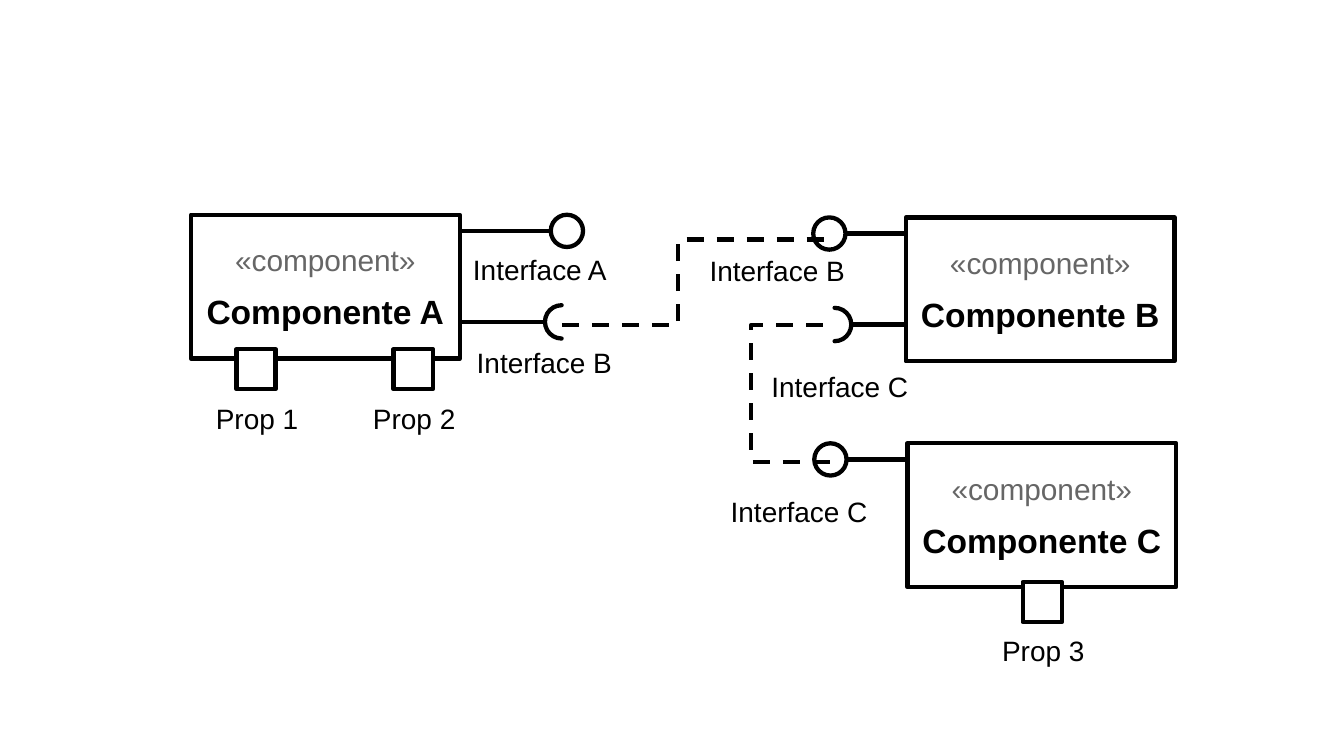
"""Build a UML component diagram with ports, interfaces and dependencies."""
from dataclasses import dataclass

from pptx import Presentation
from pptx import util as u
from pptx.dml.color import RGBColor
from pptx.enum import dml, shapes, text
from pptx.oxml import parse_xml
from pptx.oxml.ns import nsdecls, qn


@dataclass(frozen=True)
class Theme:
    font: str = "Arial"
    ink: RGBColor = RGBColor(0, 0, 0)
    paper: RGBColor = RGBColor(0xFF, 0xFF, 0xFF)
    muted: RGBColor = RGBColor(0x66, 0x66, 0x66)
    stereotype: float = 16
    name: float = 18
    label: float = 15
    stroke: float = 2.3


@dataclass(frozen=True)
class Component:
    name: str
    left: float
    top: float


@dataclass(frozen=True)
class Port:
    name: str
    left: float
    top: float


@dataclass(frozen=True)
class Interface:
    name: str
    provided: bool
    edge: float
    left: float
    top: float
    label_left: float
    label_top: float


THEME = Theme()
COMPONENT_WIDTH, COMPONENT_HEIGHT = 5.08, 2.72
PORT_WIDTH, PORT_HEIGHT = 0.74, 0.76
BALL, SOCKET = 0.61, 0.63

COMPONENTS = [
    Component("Componente A", 3.61, 4.06),
    Component("Componente B", 17.12, 4.11),
    Component("Componente C", 17.15, 8.38),
]
PORTS = [
    Port("Prop 1", 4.47, 6.6),
    Port("Prop 2", 7.44, 6.6),
    Port("Prop 3", 19.33, 11),
]
INTERFACES = [
    Interface("Interface A", True, 8.69, 10.41, 4.06, 8.69, 4.65),
    Interface("Interface B", False, 8.69, 10.3, 5.77, 8.76, 6.4),
    Interface("Interface B", True, 17.12, 15.37, 4.11, 13.16, 4.67),
    Interface("Interface C", False, 17.12, 15.46, 5.82, 14.33, 6.86),
    Interface("Interface C", True, 17.15, 15.39, 8.38, 13.56, 9.22),
]
DEPENDENCIES = [
    [(10.62, 6.14), (12.82, 6.14), (12.82, 4.53), (15.69, 4.53)],
    [(15.55, 6.14), (14.2, 6.14), (14.2, 8.73), (15.77, 8.73)],
]


def set_stroke(line) -> None:
    """Apply the common outline."""
    line.color.rgb = THEME.ink
    line.width = u.Pt(THEME.stroke)


def style_text(paragraph, content: str, size: float, color: RGBColor, bold: bool = False) -> None:
    """Write and format one paragraph."""
    paragraph.text = content
    paragraph.font.name = THEME.font
    paragraph.font.size = u.Pt(size)
    paragraph.font.bold = bold
    paragraph.font.color.rgb = color


def add_outline(slide, kind, left: float, top: float, width: float, height: float):
    """Add a paper-coloured preset shape with the common outline."""
    shape = slide.shapes.add_shape(kind, u.Cm(left), u.Cm(top), u.Cm(width), u.Cm(height))
    shape.shadow.inherit = False
    shape.fill.solid()
    shape.fill.fore_color.rgb = THEME.paper
    set_stroke(shape.line)
    return shape


def add_label(slide, content: str, left: float, top: float, width: float) -> None:
    """Add a one-line label."""
    box = slide.shapes.add_textbox(u.Cm(left), u.Cm(top), u.Cm(width), u.Cm(0.9))
    box.text_frame.word_wrap = True
    style_text(box.text_frame.paragraphs[0], content, THEME.label, THEME.ink)


def add_component(slide, component: Component) -> None:
    """Add a component box with its stereotype and name."""
    shape = add_outline(slide, shapes.MSO_SHAPE.RECTANGLE, component.left, component.top,
                        COMPONENT_WIDTH, COMPONENT_HEIGHT)
    frame = shape.text_frame
    frame.word_wrap = True
    frame.vertical_anchor = text.MSO_ANCHOR.MIDDLE
    frame.margin_left = frame.margin_right = u.Cm(0.28)
    frame.margin_top = frame.margin_bottom = u.Cm(0.15)
    stereotype, name = frame.paragraphs[0], frame.add_paragraph()
    style_text(stereotype, "«component»", THEME.stereotype, THEME.muted)
    style_text(name, component.name, THEME.name, THEME.ink, bold=True)
    name.space_before = u.Pt(7)
    stereotype.alignment = name.alignment = text.PP_ALIGN.CENTER


def add_port(slide, port: Port) -> None:
    """Add a port square with its label below."""
    add_outline(slide, shapes.MSO_SHAPE.RECTANGLE, port.left, port.top, PORT_WIDTH, PORT_HEIGHT)
    add_label(slide, port.name, port.left - 0.64, port.top + 0.86, 2.13)


def add_interface(slide, interface: Interface) -> None:
    """Add a ball or socket, its stem and its label."""
    faces_right = interface.edge < interface.left
    size = BALL if interface.provided else SOCKET
    kind = shapes.MSO_SHAPE.OVAL if interface.provided else shapes.MSO_SHAPE.ARC
    symbol = add_outline(slide, kind, interface.left, interface.top, size, size)
    if not interface.provided:
        symbol.fill.background()
        angles = (54, 162) if faces_right else (162, 54)
        symbol.adjustments[0], symbol.adjustments[1] = angles
        symbol._element.spPr.find(qn("a:ln")).set("cap", "rnd")
    end = interface.left if faces_right else interface.left + size
    middle = u.Cm(interface.top + size / 2)
    stem = slide.shapes.add_connector(shapes.MSO_CONNECTOR.STRAIGHT, u.Cm(interface.edge), middle,
                                      u.Cm(end), middle)
    set_stroke(stem.line)
    stem._element.spPr.append(parse_xml(f"<a:effectLst {nsdecls('a')}/>"))
    add_label(slide, interface.name, interface.label_left, interface.label_top, 3.8)


def add_dependency(slide, points: list[tuple[float, float]]) -> None:
    """Add a dashed open path."""
    start, *rest = [(u.Cm(x), u.Cm(y)) for x, y in points]
    builder = slide.shapes.build_freeform(*start)
    builder.add_line_segments(rest, close=False)
    shape = builder.convert_to_shape()
    shape.shadow.inherit = False
    shape.fill.background()
    set_stroke(shape.line)
    shape.line.dash_style = dml.MSO_LINE.DASH


def main() -> None:
    """Draw the diagram and save it."""
    presentation = Presentation()
    presentation.slide_width, presentation.slide_height = u.Cm(25.4), u.Cm(14.29)
    slide = presentation.slides.add_slide(presentation.slide_layouts[6])
    for component in COMPONENTS:
        add_component(slide, component)
    for interface in INTERFACES:
        add_interface(slide, interface)
    for points in DEPENDENCIES:
        add_dependency(slide, points)
    for port in PORTS:
        add_port(slide, port)
    presentation.save("out.pptx")


main()
